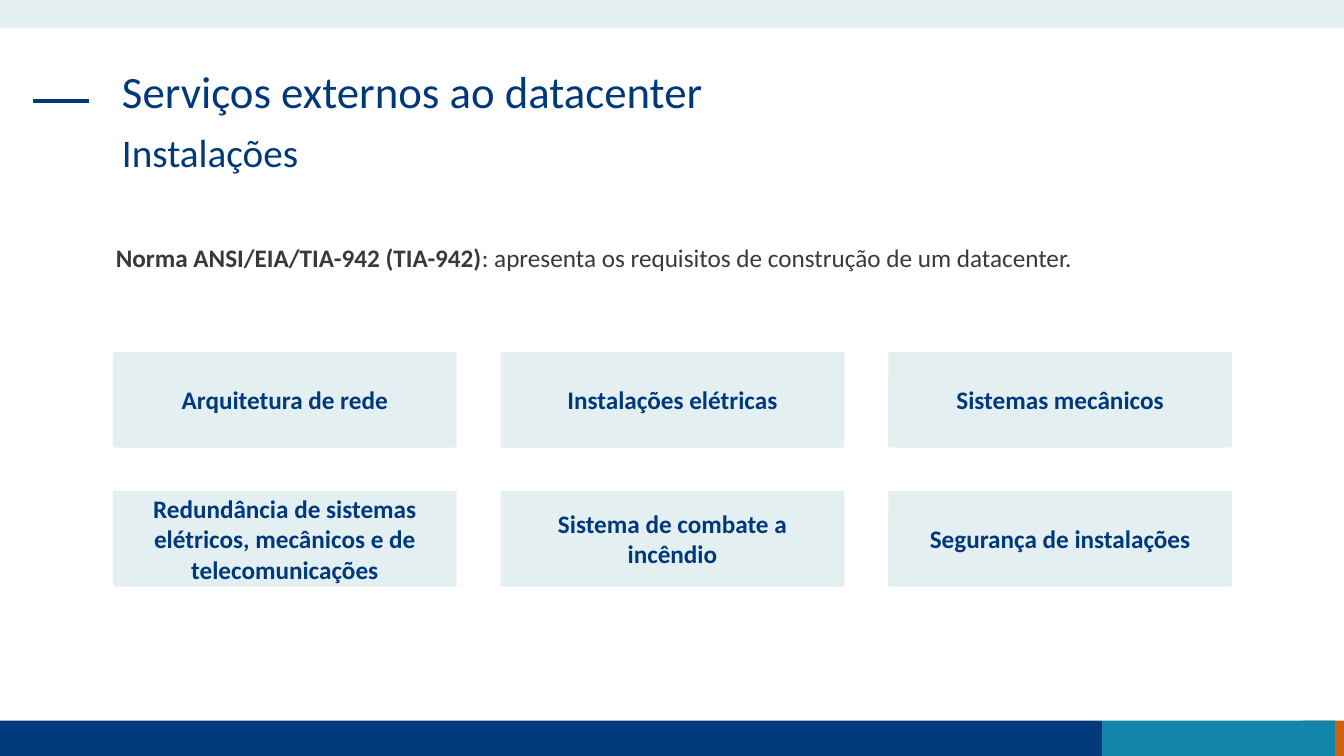
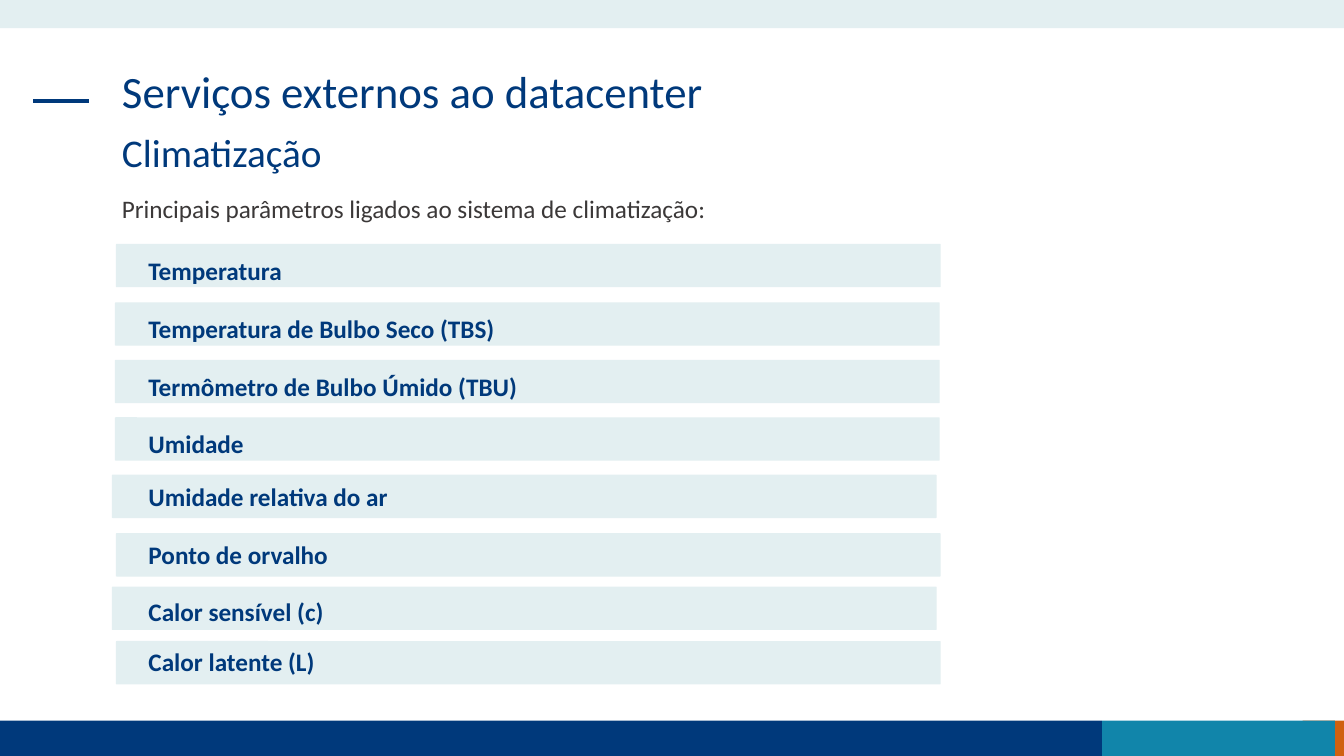
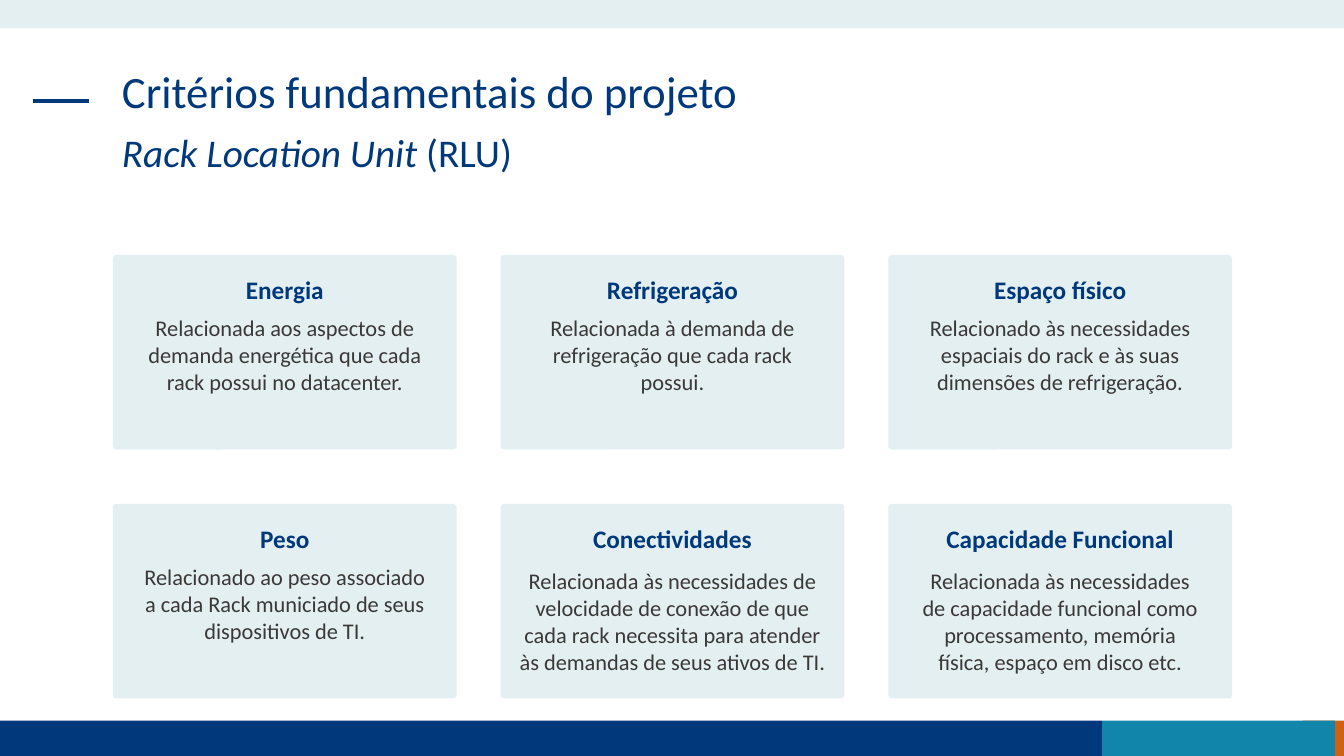
import dataclasses

import pptx
import pptx.dml.color
import pptx.enum.shapes
import pptx.enum.text
import pptx.oxml.ns
import pptx.util
from lxml import etree

Inches = pptx.util.Inches
Anchor = pptx.enum.text.MSO_ANCHOR
Align = pptx.enum.text.PP_ALIGN
Preset = pptx.enum.shapes.MSO_SHAPE


# Theme: colours, type sizes and shared measures
@dataclasses.dataclass(frozen=True)
class Theme:
    font: str = "Calibri"
    navy: str = "00397B"
    teal: str = "1185AA"
    orange: str = "D06110"
    pale: str = "E3EFF1"
    grey: str = "3B3838"
    title: int = 32
    subtitle: int = 28
    body: int = 18
    detail: int = 16
    line_spacing: float = 0.9
    corner: float = 0.019


THEME = Theme()

# Content
EXTERNAL_SERVICES = "Serviços externos ao datacenter"
STANDARD = [
    ("Norma ANSI/EIA/TIA-942 (TIA-942)", {"bold": True}),
    (": apresenta os requisitos de construção de um datacenter.", {}),
]
FACILITIES = [
    "Arquitetura de rede",
    "Instalações elétricas",
    "Sistemas mecânicos",
    "Redundância de sistemas elétricos, mecânicos e de telecomunicações",
    "Sistema de combate a incêndio",
    "Segurança de instalações",
]
# Label, left and top of the bar, top inset of its text
CLIMATE_PARAMETERS = [
    ("Temperatura", 1.15, 2.42, 0.11),
    ("Temperatura de Bulbo Seco (TBS)", 1.14, 3.00, 0.11),
    ("Termômetro de Bulbo Úmido (TBU)", 1.14, 3.57, 0.11),
    ("Umidade", 1.14, 4.14, 0.11),
    ("Umidade relativa do ar", 1.11, 4.71, 0.06),
    ("Ponto de orvalho", 1.15, 5.29, 0.06),
    ("Calor sensível (c)", 1.11, 5.82, 0.09),
    ("Calor latente (L)", 1.15, 6.36, 0.05),
]
# Heading, detail, side inset in inches, space above the detail in points
CRITERIA = [
    ("Energia", "Relacionada aos aspectos de demanda energética que cada rack "
     "possui no datacenter.", 0.32, 7),
    ("Refrigeração", "Relacionada à demanda de refrigeração que cada rack possui.",
     0.32, 7),
    ("Espaço físico", "Relacionado às necessidades espaciais do rack e às suas "
     "dimensões de refrigeração.", 0.32, 7),
    ("Peso", "Relacionado ao peso associado a cada Rack municiado de seus "
     "dispositivos de TI.", 0.25, 7),
    ("Conectividades", "Relacionada às necessidades de velocidade de conexão de que "
     "cada rack necessita para atender às demandas de seus ativos de TI.", 0.15, 10),
    ("Capacidade Funcional", "Relacionada às necessidades de capacidade funcional "
     "como processamento, memória física, espaço em disco etc.", 0.32, 10),
]
# Left, top, width, height, colour
BANDS = [
    (12.92, 7.15, 0.41, 0.35, THEME.orange),
    (0, 7.15, 10.93, 0.35, THEME.navy),
    (10.93, 7.15, 2.31, 0.35, THEME.teal),
    (0, 0, 13.33, 0.28, THEME.pale),
]
PLACEHOLDER_BOXES = [(1.11, 0.64, 11.1, 0.94), (1.11, 1.28, 8.75, 0.59)]
CARD_LEFT, CARD_WIDTH, CARD_PITCH, COLUMNS = 1.12, 3.41, 3.845, 3


# Helpers
def rgb(value):
    return pptx.dml.color.RGBColor.from_string(value)


def write_text(frame, text, *, size=THEME.body, color=THEME.navy, bold=False,
               align=Align.LEFT, before=0, spacing=1.0, new=False, plain=False):
    """Write a string, or (string, font overrides) pairs, as one paragraph."""
    paragraph = frame.add_paragraph() if new else frame.paragraphs[0]
    paragraph.alignment = align
    paragraph.space_before = pptx.util.Pt(before)
    paragraph.line_spacing = spacing
    if plain:  # no bullet and no hanging indent
        properties = paragraph._p.get_or_add_pPr()
        properties.set("marL", "0")
        properties.set("indent", "0")
        etree.SubElement(properties, pptx.oxml.ns.qn("a:buNone"))
    for content, overrides in [(text, {})] if isinstance(text, str) else text:
        run = paragraph.add_run()
        run.text = content
        run.font.name = THEME.font
        run.font.size = pptx.util.Pt(size)
        run.font.color.rgb = rgb(color)
        run.font.bold = overrides.get("bold", bold)
        run.font.italic = overrides.get("italic", False)


def set_frame(frame, anchor=Anchor.TOP, side=0.1, top=0.05, bottom=0.05):
    frame.word_wrap = True
    frame.auto_size = pptx.enum.text.MSO_AUTO_SIZE.NONE
    frame.vertical_anchor = anchor
    frame.margin_left = frame.margin_right = Inches(side)
    frame.margin_top, frame.margin_bottom = Inches(top), Inches(bottom)


def add_box(slide, box, color, preset=Preset.RECTANGLE):
    shape = slide.shapes.add_shape(preset, *map(Inches, box))
    shape.shadow.inherit = False
    shape.fill.solid()
    shape.fill.fore_color.rgb = rgb(color)
    shape.line.fill.background()
    return shape


def add_card(slide, box, **frame_format):
    card = add_box(slide, box, THEME.pale, Preset.ROUNDED_RECTANGLE)
    card.adjustments[0] = THEME.corner
    set_frame(card.text_frame, **frame_format)
    return card.text_frame


def add_text(slide, box, text, **text_format):
    frame = slide.shapes.add_textbox(*map(Inches, box)).text_frame
    set_frame(frame)
    write_text(frame, text, **text_format)


def card_box(index, top, height, row_pitch):
    row, column = divmod(index, COLUMNS)
    return (CARD_LEFT + column * CARD_PITCH, top + row * row_pitch, CARD_WIDTH, height)


# Shared layout: bands, title rule and placeholder places
def prepare_layout(layout, slide):
    for placeholder, box in zip(layout.placeholders, PLACEHOLDER_BOXES):
        placeholder.left, placeholder.top, placeholder.width, placeholder.height = map(
            Inches, box)
    decorations = [add_box(slide, band[:4], band[4]) for band in BANDS]
    rule = slide.shapes.add_connector(
        pptx.enum.shapes.MSO_CONNECTOR.STRAIGHT,
        Inches(0.33), Inches(1), Inches(0.88), Inches(1))
    rule.line.color.rgb = rgb(THEME.navy)
    rule.line.width = pptx.util.Pt(3)
    etree.SubElement(rule.element.spPr, pptx.oxml.ns.qn("a:effectLst"))
    for number, shape in enumerate(decorations + [rule], start=101):
        shape.element.xpath("./*/p:cNvPr")[0].set("id", str(number))
        layout.shapes.element.append(shape.element)


def write_headings(slide, title, subtitle):
    body = slide.placeholders[1]
    for placeholder, text, size in ((slide.shapes.title, title, THEME.title),
                                    (body, subtitle, THEME.subtitle)):
        set_frame(placeholder.text_frame)
        write_text(placeholder.text_frame, text, size=size,
                   spacing=THEME.line_spacing, plain=True)


# Slides
def fill_facilities(slide):
    write_headings(slide, EXTERNAL_SERVICES, "Instalações")
    add_text(slide, (1.05, 2.36, 10.94, 0.4), STANDARD, color=THEME.grey)
    for index, label in enumerate(FACILITIES):
        frame = add_card(slide, card_box(index, 3.49, 0.95, 1.38),
                         anchor=Anchor.MIDDLE, side=0.32, top=0, bottom=0)
        write_text(frame, label, bold=True, align=Align.CENTER)


def fill_climate(slide):
    write_headings(slide, EXTERNAL_SERVICES, "Climatização")
    add_text(slide, (1.11, 1.87, 11.1, 0.4),
             "Principais parâmetros ligados ao sistema de climatização:",
             color=THEME.grey)
    for label, left, top, inset in CLIMATE_PARAMETERS:
        frame = add_card(slide, (left, top, 8.18, 0.43),
                         side=1.47 - left, top=inset, bottom=0)
        write_text(frame, label, bold=True)


def fill_criteria(slide):
    write_headings(slide, "Critérios fundamentais do projeto",
                   [("Rack Location Unit ", {"italic": True}), ("(RLU)", {})])
    for index, (heading, detail, side, gap) in enumerate(CRITERIA):
        frame = add_card(slide, card_box(index, 2.53, 1.93, 2.47), side=side, top=0.18)
        write_text(frame, heading, bold=True, align=Align.CENTER)
        write_text(frame, detail, size=THEME.detail, color=THEME.grey,
                   align=Align.CENTER, before=gap, new=True)


def main():
    presentation = pptx.Presentation()
    presentation.slide_width = Inches(13.33)
    presentation.slide_height = Inches(7.5)
    layout = presentation.slide_layouts[1]
    fillers = [fill_facilities, fill_climate, fill_criteria]
    slides = [presentation.slides.add_slide(layout) for _ in fillers]
    prepare_layout(layout, slides[0])
    for slide, fill in zip(slides, fillers):
        fill(slide)
    presentation.save("out.pptx")


if __name__ == "__main__":
    main()
